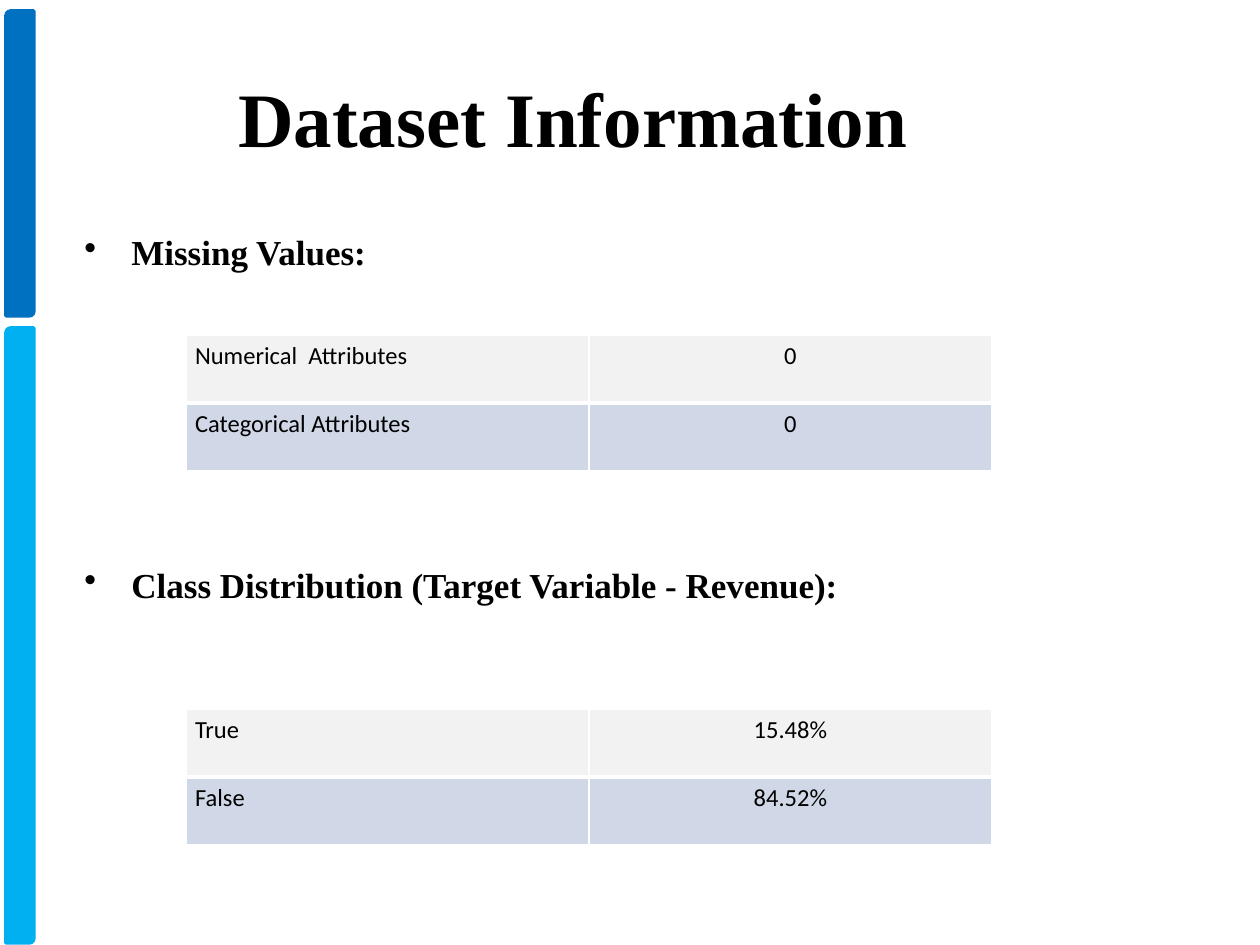
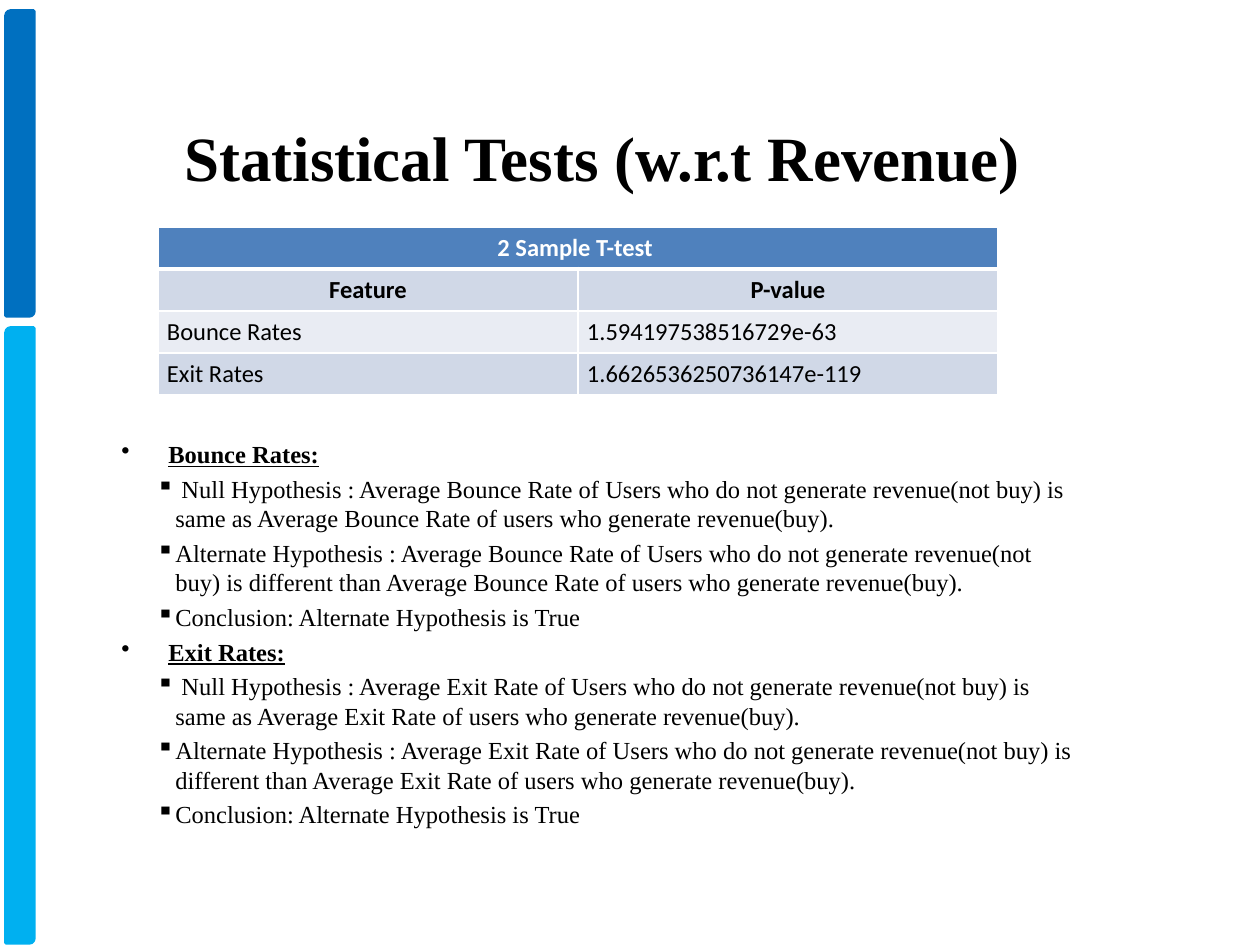
"""Builds two slides on a dataset: its summary and its statistical tests."""
from lxml import etree
from pptx import Presentation
from pptx.dml.color import RGBColor
from pptx.enum.shapes import MSO_SHAPE
from pptx.enum.text import MSO_ANCHOR, PP_ALIGN
from pptx.oxml.ns import qn
from pptx.util import Emu, Pt

CENTER, LEFT = PP_ALIGN.CENTER, PP_ALIGN.LEFT
MIDDLE = MSO_ANCHOR.MIDDLE
BAR_SHAPE = MSO_SHAPE.ROUND_2_DIAG_RECTANGLE
SERIF, SANS = "Times New Roman", "Calibri"
BLACK, WHITE = "000000", "FFFFFF"
GREY, PALE, BLUE, HEADER = "F2F2F2", "E9ECF3", "D0D8E7", "4F81BD"
BARS = [(11, 305, "0070C0"), (328, 615, "00B0F0")]
BULLETS = {"•": (48, -47), "▪": (55, -19)}


def px(count):
    """Turn px at 126 to the inch into EMU."""
    return Emu(round(count * 914400 / 126))


def add_run(para, text, size, font, color=BLACK, bold=False, underline=False):
    """Append one styled run to a paragraph."""
    span = para.add_run()
    span.text = text
    span.font.size = Pt(size)
    span.font.name = font
    span.font.color.rgb = RGBColor.from_string(color)
    span.font.bold = bold
    span.font.underline = underline


hypotheses = []
for rate in ("Bounce", "Exit"):
    users = f"Average {rate} Rate of Users who do not generate revenue(not buy)"
    buyers = f"Average {rate} Rate of users who generate revenue(buy)."
    hypotheses += [
        ("•", f"{rate} Rates:", 3),
        ("▪", f" Null Hypothesis : {users} is same as {buyers}", 3),
        ("▪", f"Alternate Hypothesis : {users} is different than {buyers}", 3),
        ("▪", "Conclusion: Alternate Hypothesis is True", 3),
    ]

pages = [
    {
        "title": ("Dataset Information", 44, 129, 49),
        "body": (71, 174, 1032, 732),
        "body_inset": 57,
        "body_size": 20,
        "underline": False,
        "items": [
            ("•", "Missing Values:", 0),
            ("•", "Class Distribution (Target Variable - Revenue):", 166),
        ],
        "fills": [GREY, BLUE],
        "value_align": CENTER,
        "heading_rows": 0,
        "column": 403,
        "row": 68,
        "tables": [
            (186, 335, [("Numerical  Attributes", "0"), ("Categorical Attributes", "0")]),
            (186, 709, [("True", "15.48%"), ("False", "84.52%")]),
        ],
    },
    {
        "title": ("Statistical Tests (w.r.t Revenue)", 36, 158, 88),
        "body": (108, 433, 984, 473),
        "body_inset": 6,
        "body_size": 14,
        "underline": True,
        "items": hypotheses,
        "fills": [HEADER, BLUE, PALE, BLUE],
        "value_align": LEFT,
        "heading_rows": 2,
        "column": 420,
        "row": 42,
        "tables": [
            (158, 227, [
                ("2 Sample T-test ", ""),
                ("Feature", "P-value"),
                ("Bounce Rates", "1.594197538516729e-63"),
                ("Exit Rates", "1.6626536250736147e-119"),
            ]),
        ],
    },
]

deck = Presentation()
deck.slide_width, deck.slide_height = px(1260), px(945)

for content in pages:
    page = deck.slides.add_slide(deck.slide_layouts[6])

    for top, height, color in BARS:
        bar = page.shapes.add_shape(BAR_SHAPE, px(6), px(top), px(28), px(height))
        bar.shadow.inherit = False
        bar.adjustments[0], bar.adjustments[1] = 0.167, 0
        bar.fill.solid()
        bar.fill.fore_color.rgb = RGBColor.from_string(color)
        bar.line.color.rgb = RGBColor.from_string(color)
        bar.line.width = Pt(2)

    title, size, left, top = content["title"]
    box = page.shapes.add_textbox(px(left), px(top), px(888), px(136))
    box.text_frame.word_wrap = True
    box.text_frame.vertical_anchor = MIDDLE
    para = box.text_frame.paragraphs[0]
    para.alignment = CENTER
    add_run(para, title, size, SERIF, bold=True)

    box = page.shapes.add_textbox(*[px(length) for length in content["body"]])
    frame = box.text_frame
    frame.word_wrap = True
    frame.margin_top = px(content["body_inset"])
    for index, (bullet, text, gap) in enumerate(content["items"]):
        para = frame.add_paragraph() if index else frame.paragraphs[0]
        para.space_before = Pt(gap)
        margin, indent = BULLETS[bullet]
        properties = para._p.get_or_add_pPr()
        properties.set("marL", str(px(margin)))
        properties.set("indent", str(px(indent)))
        etree.SubElement(properties, qn("a:buChar"), char=bullet)
        heading = bullet == "•"
        add_run(para, text, content["body_size"], SERIF, bold=heading,
                underline=heading and content["underline"])

    for left, top, rows in content["tables"]:
        column, row_height = content["column"], content["row"]
        table = page.shapes.add_table(len(rows), 2, px(left), px(top), px(2 * column),
                                      px(len(rows) * row_height)).table
        table.first_row = table.horz_banding = False
        if not rows[0][1]:
            table.cell(0, 0).merge(table.cell(0, 1))
        for table_column in table.columns:
            table_column.width = px(column)
        for row, texts in enumerate(rows):
            table.rows[row].height = px(row_height)
            heading = row < content["heading_rows"]
            fill = content["fills"][row]
            for position, text in enumerate(texts):
                cell = table.cell(row, position)
                cell.margin_left = cell.margin_right = px(9)
                cell.margin_top = cell.margin_bottom = px(6)
                properties = cell._tc.get_or_add_tcPr()
                for side in "LRTB":
                    thick = (row, side) in ((0, "B"), (1, "T"))
                    edge = etree.SubElement(properties, qn(f"a:ln{side}"),
                                            w=str(Pt(3 if thick else 0.96)))
                    paint = etree.SubElement(edge, qn("a:solidFill"))
                    etree.SubElement(paint, qn("a:srgbClr"), val=WHITE)
                cell.fill.solid()
                cell.fill.fore_color.rgb = RGBColor.from_string(fill)
                if text:
                    para = cell.text_frame.paragraphs[0]
                    para.alignment = CENTER if heading else (LEFT, content["value_align"])[position]
                    add_run(para, text, 14, SANS, WHITE if fill == HEADER else BLACK, heading)

deck.save("out.pptx")
